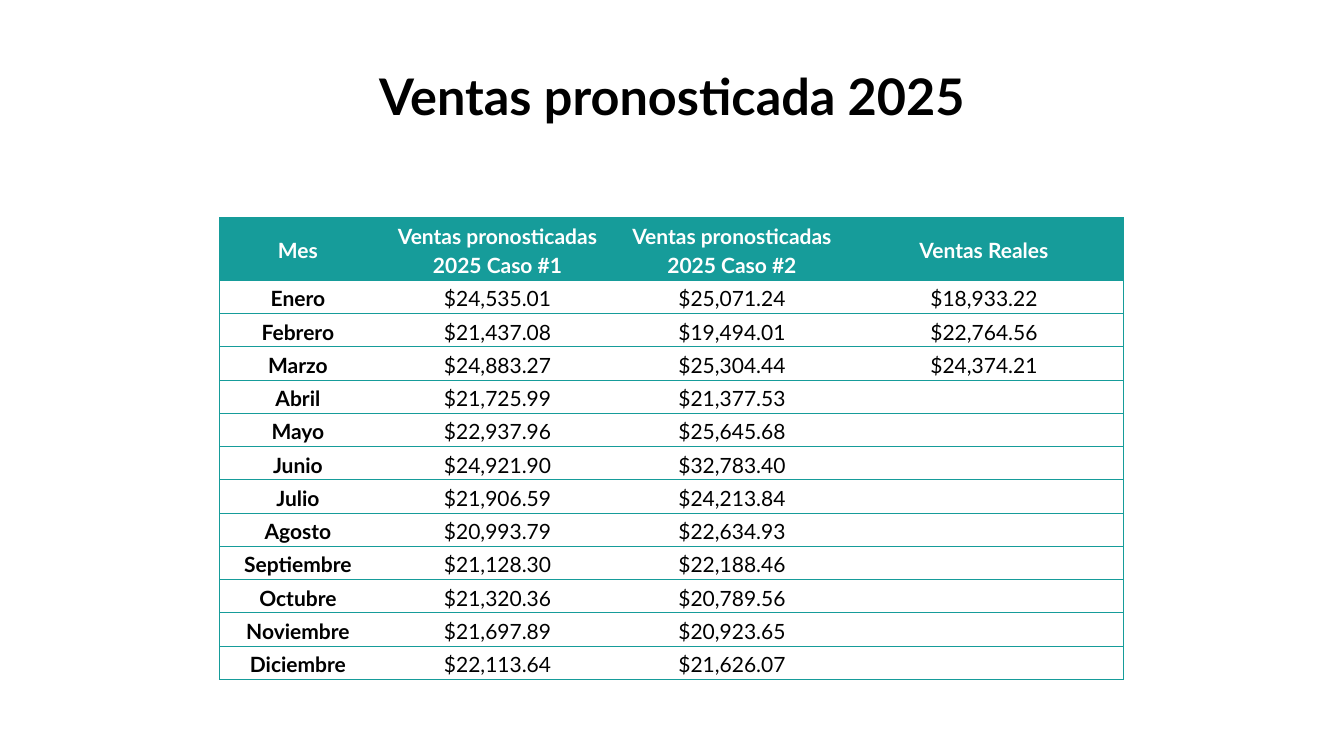
import pptx
import pptx.dml.color
import pptx.enum.text
import pptx.oxml.ns
import pptx.util
from lxml import etree
from pptx.util import Inches

FONT = "Lato"
TEAL, BLACK, WHITE = "169C9A", "000000", "FFFFFF"

HEADINGS = ["Mes", "Ventas pronosticadas 2025 Caso #1",
            "Ventas pronosticadas 2025 Caso #2", "Ventas Reales"]
MONTHLY_SALES = [
    ["Enero", "$24,535.01", "$25,071.24", "$18,933.22"],
    ["Febrero", "$21,437.08", "$19,494.01", "$22,764.56"],
    ["Marzo", "$24,883.27", "$25,304.44", "$24,374.21"],
    ["Abril", "$21,725.99", "$21,377.53", ""],
    ["Mayo", "$22,937.96", "$25,645.68", ""],
    ["Junio", "$24,921.90", "$32,783.40", ""],
    ["Julio", "$21,906.59", "$24,213.84", ""],
    ["Agosto", "$20,993.79", "$22,634.93", ""],
    ["Septiembre", "$21,128.30", "$22,188.46", ""],
    ["Octubre", "$21,320.36", "$20,789.56", ""],
    ["Noviembre", "$21,697.89", "$20,923.65", ""],
    ["Diciembre", "$22,113.64", "$21,626.07", ""],
]
COLUMN_WIDTHS = [1.55, 2.41, 2.24, 2.76]
HEADING_HEIGHT, MONTH_HEIGHT = 0.62, 0.33


def rgb(hex_color):
    return pptx.dml.color.RGBColor.from_string(hex_color)


class SalesSlide:
    def __init__(self, presentation):
        self.slide = presentation.slides.add_slide(presentation.slide_layouts[5])

    def style(self, paragraph, size, color, bold, spacing):
        paragraph.alignment = pptx.enum.text.PP_ALIGN.CENTER
        paragraph.line_spacing = spacing
        paragraph.font.name = FONT
        paragraph.font.size = pptx.util.Pt(size)
        paragraph.font.bold = bold
        paragraph.font.color.rgb = rgb(color)

    def title(self, text, left, top, width, height):
        heading = self.slide.shapes.title
        heading.left, heading.top = Inches(left), Inches(top)
        heading.width, heading.height = Inches(width), Inches(height)
        heading.text_frame.text = text
        heading.text_frame.vertical_anchor = pptx.enum.text.MSO_ANCHOR.BOTTOM
        self.style(heading.text_frame.paragraphs[0], 36, BLACK, True, 0.9)

    def border(self, cell, side, visible):
        qn = pptx.oxml.ns.qn
        properties = cell._tc.get_or_add_tcPr()
        line = etree.SubElement(properties, qn(f"a:ln{side}"), w=str(pptx.util.Pt(0.5)))
        if visible:
            fill = etree.SubElement(line, qn("a:solidFill"))
            etree.SubElement(fill, qn("a:srgbClr"), val=TEAL)
        else:
            etree.SubElement(line, qn("a:noFill"))

    def cell(self, cell, text, is_heading, is_first, is_last):
        cell.margin_top = cell.margin_bottom = 0
        cell.vertical_anchor = pptx.enum.text.MSO_ANCHOR.MIDDLE
        # Borders: outer frame and row rules only
        for side, visible in (("L", is_first), ("R", is_last), ("T", True), ("B", True)):
            self.border(cell, side, visible)
        if is_heading:
            cell.fill.solid()
            cell.fill.fore_color.rgb = rgb(TEAL)
        else:
            cell.fill.background()
        if text:
            cell.text = text
            paragraph = cell.text_frame.paragraphs[0]
            paragraph.space_after = pptx.util.Pt(8)
            self.style(paragraph, 15, WHITE if is_heading else BLACK,
                       is_heading or is_first, 1.15)

    def table(self, rows, left, top):
        heights = [HEADING_HEIGHT] + [MONTH_HEIGHT] * (len(rows) - 1)
        sales = self.slide.shapes.add_table(
            len(rows), len(COLUMN_WIDTHS), Inches(left), Inches(top),
            Inches(sum(COLUMN_WIDTHS)), Inches(sum(heights))).table
        sales.horz_banding = False
        for column, width in zip(sales.columns, COLUMN_WIDTHS):
            column.width = Inches(width)
        for r, (row, height) in enumerate(zip(rows, heights)):
            sales.rows[r].height = Inches(height)
            for c, text in enumerate(row):
                self.cell(sales.cell(r, c), text, r == 0, c == 0, c == len(row) - 1)


def main():
    presentation = pptx.Presentation()
    presentation.slide_width = Inches(13.33)
    presentation.slide_height = Inches(7.5)
    forecast = SalesSlide(presentation)

    # Title
    forecast.title("Ventas pronosticada 2025", 1.89, 0.55, 9.55, 0.75)

    # Monthly forecast and actual sales
    forecast.table([HEADINGS] + MONTHLY_SALES, 2.18, 2.16)

    presentation.save("out.pptx")


if __name__ == "__main__":
    main()
